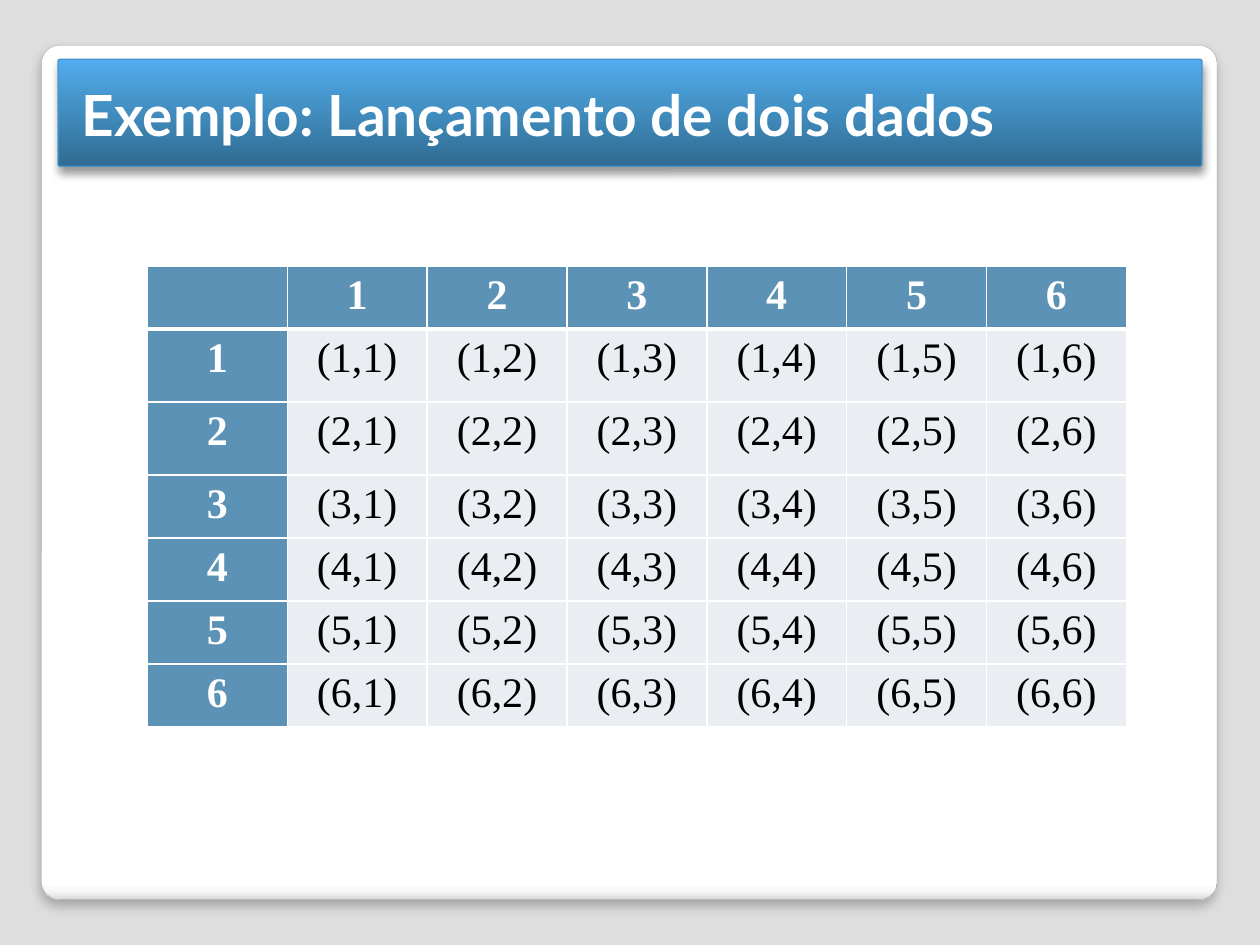
from dataclasses import dataclass

from lxml.etree import SubElement
from pptx import Presentation
from pptx.dml.color import RGBColor
from pptx.enum.shapes import MSO_SHAPE
from pptx.enum.text import MSO_ANCHOR, MSO_AUTO_SIZE, PP_ALIGN
from pptx.oxml.ns import qn
from pptx.util import Inches, Pt


@dataclass(frozen=True)
class Theme:
    """Colours, fonts and type sizes of the slide."""
    background: str = "DEDEDE"
    white: str = "FFFFFF"
    black: str = "000000"
    header: str = "5C92B5"
    body: str = "EAEEF3"
    title_font: str = "Lato"
    table_font: str = "Times New Roman"
    title_size: float = 32.4
    table_size: float = 24


@dataclass(frozen=True)
class Panel:
    """A rounded panel with a gradient and a shadow below it."""
    box: tuple[float, float, float, float]
    stops: tuple[tuple[int, str], ...]
    angle: int
    line: str
    line_width: float
    shadow_alpha: int
    shadow_blur: float
    shadow_distance: float


THEME = Theme()
FACES = 6
PANELS = (
    Panel((0.33, 0.36, 9.33, 6.78),
          ((0, "FFFFFF"), (98, "FFFFFF"), (99, "F7F7F7"), (100, "DADADA")),
          90, "A4A4A4", 0.16, 25, 6, 4),
    Panel((0.46, 0.47, 9.08, 0.85),
          ((0, "306B91"), (60, "4493C7"), (100, "53ACF0")),
          270, "4697CB", 0.75, 40, 5.2, 3),
)


def rgb(color: str) -> RGBColor:
    """Turn a hex string into a colour."""
    return RGBColor.from_string(color)


def add_color(parent, color: str):
    """Append a colour element and return it."""
    return SubElement(parent, qn("a:srgbClr"), val=color)


def add_panel(page, panel: Panel) -> None:
    """Draw one rounded gradient panel."""
    shape = page.shapes.add_shape(MSO_SHAPE.ROUNDED_RECTANGLE, *map(Inches, panel.box))
    shape.adjustments[0] = 0.021
    shape.fill.gradient()
    shape.fill.gradient_angle = 360 - panel.angle
    shape.line.color.rgb = rgb(panel.line)
    shape.line.width = Pt(panel.line_width)
    shape.shadow.inherit = False

    properties = shape.element.spPr
    stop_list = properties.find(f"{qn('a:gradFill')}/{qn('a:gsLst')}")
    for stop in list(stop_list):
        stop_list.remove(stop)
    for position, color in panel.stops:
        add_color(SubElement(stop_list, qn("a:gs"), pos=str(position * 1000)), color)

    shadow = SubElement(properties.find(qn("a:effectLst")), qn("a:outerShdw"),
                        blurRad=str(Pt(panel.shadow_blur)), dist=str(Pt(panel.shadow_distance)),
                        dir="5400000", rotWithShape="0")
    SubElement(add_color(shadow, THEME.black), qn("a:alpha"), val=str(panel.shadow_alpha * 1000))


def write(para, text: str, *, font: str, size: float, color: str, bold: bool = False) -> None:
    """Add one formatted span to a paragraph."""
    span = para.add_run()
    span.text = text
    span.font.name = font
    span.font.size = Pt(size)
    span.font.bold = bold
    span.font.color.rgb = rgb(color)


def add_title(page, text: str) -> None:
    """Place the title placeholder in front of the panels."""
    title = page.shapes.title
    title.left, title.top, title.width, title.height = map(Inches, (0.55, 0.47, 8.95, 0.86))
    title.element.getparent().append(title.element)
    frame = title.text_frame
    frame.word_wrap = True
    frame.auto_size = MSO_AUTO_SIZE.NONE
    frame.vertical_anchor = MSO_ANCHOR.MIDDLE
    para = frame.paragraphs[0]
    para.alignment = PP_ALIGN.LEFT
    write(para, text, font=THEME.title_font, size=THEME.title_size,
          color=THEME.white, bold=True)


def add_borders(cell, widths: dict[str, float]) -> None:
    """Give a cell white borders of the given widths in points."""
    properties = cell._tc.get_or_add_tcPr()
    for side, width in widths.items():
        line = SubElement(properties, qn(f"a:ln{side}"), w=str(Pt(width)))
        add_color(SubElement(line, qn("a:solidFill")), THEME.white)


def cell_text(row: int, column: int) -> str:
    """Give a face number for a heading and a pair for an outcome."""
    if row and column:
        return f"({row},{column})"
    return str(row or column or "")


def fill_cell(cell, row: int, column: int) -> None:
    """Write and format one cell of the outcome table."""
    heading = row == 0 or column == 0
    widths = {"L": 1, "R": 1, "T": 1, "B": 1 if row else 3}
    if row == 1:
        del widths["T"]  # the thick rule under the heading row stays on top
    add_borders(cell, widths)
    cell.fill.solid()
    cell.fill.fore_color.rgb = rgb(THEME.header if heading else THEME.body)
    text = cell_text(row, column)
    if text:
        para = cell.text_frame.paragraphs[0]
        para.alignment = PP_ALIGN.CENTER
        spacing = SubElement(para._p.get_or_add_pPr(), qn("a:spcBef"))
        SubElement(spacing, qn("a:spcPct"), val="20000")
        write(para, text, font=THEME.table_font, size=THEME.table_size,
              color=THEME.white if heading else THEME.black, bold=heading)


def add_outcomes(page) -> None:
    """Add the table of all outcomes of two dice."""
    count = FACES + 1
    table = page.shapes.add_table(count, count, *map(Inches, (1.17, 2.11, 7.78, 3.67))).table
    table.first_col = True
    table.horz_banding = False
    for column in table.columns:
        column.width = Inches(1.11)
    for index, row in enumerate(table.rows):
        row.height = Inches(0.58 if index in (1, 2) else 0.5)
        for position, cell in enumerate(row.cells):
            fill_cell(cell, index, position)


def main() -> None:
    """Build the slide and save it."""
    deck = Presentation()
    deck.slide_width, deck.slide_height = Inches(10), Inches(7.5)
    page = deck.slides.add_slide(deck.slide_layouts.get_by_name("Title Only"))
    page.background.fill.solid()
    page.background.fill.fore_color.rgb = rgb(THEME.background)
    for panel in PANELS:
        add_panel(page, panel)
    add_title(page, "Exemplo: Lançamento de dois dados")
    add_outcomes(page)
    deck.save("out.pptx")


main()
